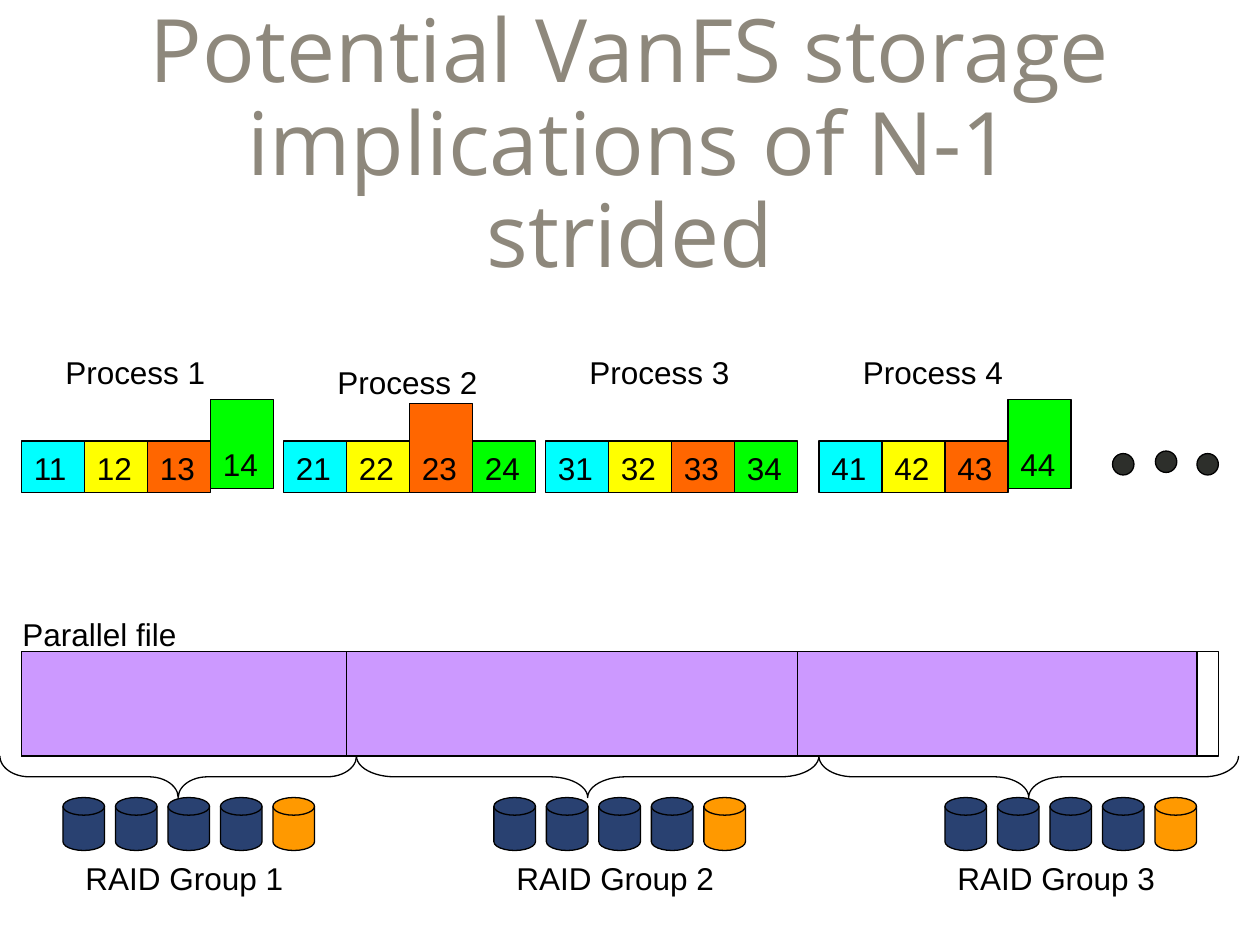
import pptx
import pptx.dml.color
import pptx.enum.shapes
import pptx.enum.text
import pptx.util

Inches, Pt = pptx.util.Inches, pptx.util.Pt
SHAPE = pptx.enum.shapes.MSO_SHAPE
ANCHOR = pptx.enum.text.MSO_ANCHOR

THEME = {
    "title_font": "Open Sans", "title_size": 50, "title": "8E887C",
    "font": "Arial", "size": 18, "text": "000000",
    "line": "000000", "line_width": 0.75,
    "blocks": ["00FFFF", "FFFF00", "FF6600", "00FF00"],
    "file": "CC99FF", "data": "294171", "parity": "FF9900", "dot": "2D2F2B",
}

TITLE = "Potential VanFS storage implications of N-1 strided"
# name, label left, label top, first block left, {tall block number: (top, height)}
PROCESSES = [
    ("Process 1", 0.42, 2.75, 0.17, {4: (3.17, 0.71)}),
    ("Process 2", 2.58, 2.83, 2.25, {3: (3.2, 0.71)}),
    ("Process 3", 4.58, 2.75, 4.33, {}),
    ("Process 4", 6.75, 2.75, 6.5, {4: (3.17, 0.71)}),
]
BLOCK_TOP, BLOCK_W, BLOCK_H = 3.5, 0.5, 0.41
DOTS = [(8.83, 3.6), (9.17, 3.58), (9.5, 3.6)]
DOT_SIZE = 0.17

FILE_LABEL = "Parallel file"
FILE_LEFT, FILE_TOP, FILE_W, FILE_H = 0.17, 5.17, 9.5, 0.83
FILE_EDGES = [0.17, 2.75, 6.33, 9.5]

# name, label left, first disk left
RAID_GROUPS = [
    ("RAID Group 1", 0.58, 0.5),
    ("RAID Group 2", 4, 3.92),
    ("RAID Group 3", 7.5, 7.5),
]
BRACE_EDGES = [0, 2.83, 6.5, 9.83]
BRACE_TOP, BRACE_DEPTH = 6, 0.33
DISKS = [THEME["data"]] * 4 + [THEME["parity"]]
DISK_TOP, DISK_W, DISK_H, DISK_STEP = 6.33, 0.33, 0.42, 5 / 12
LABEL_H, RAID_LABEL_TOP = 0.4, 6.77


def rgb(name):
    return pptx.dml.color.RGBColor.from_string(name)


def style_run(p, font, size, color):
    f = p.runs[0].font
    f.name, f.size, f.color.rgb = font, Pt(size), rgb(color)


def write(sp, text, anchor):
    tf = sp.text_frame
    tf.text = text
    tf.word_wrap = True
    tf.vertical_anchor = anchor
    p = tf.paragraphs[0]
    p.alignment = pptx.enum.text.PP_ALIGN.LEFT
    style_run(p, THEME["font"], THEME["size"], THEME["text"])


def add_label(s, text, left, top, width):
    sp = s.shapes.add_textbox(*map(Inches, (left, top, width, LABEL_H)))
    write(sp, text, ANCHOR.TOP)


def add_outlined(s, kind, left, top, width, height, fill=None):
    sp = s.shapes.add_shape(kind, *map(Inches, (left, top, width, height)))
    sp.shadow.inherit = False
    sp.line.color.rgb = rgb(THEME["line"])
    sp.line.width = Pt(THEME["line_width"])
    if fill:
        sp.fill.solid()
        sp.fill.fore_color.rgb = rgb(fill)
    else:
        sp.fill.background()
    return sp


def add_brace(s, left, right):
    """Downward brace: a left brace turned about its centre."""
    span = right - left
    sp = add_outlined(s, SHAPE.LEFT_BRACE, (left + right - BRACE_DEPTH) / 2,
                      BRACE_TOP + (BRACE_DEPTH - span) / 2, BRACE_DEPTH, span)
    sp.rotation = 270
    sp.adjustments[0] = span / 4
    sp.adjustments[1] = 0.5


def add_title(s):
    sp = s.shapes.title
    sp.left, sp.top, sp.width, sp.height = map(Inches, (0.75, 0.42, 8.5, 1.5))
    tf = sp.text_frame
    tf.text = TITLE
    tf.word_wrap = True
    tf.auto_size = pptx.enum.text.MSO_AUTO_SIZE.NONE
    tf.vertical_anchor = ANCHOR.MIDDLE
    p = tf.paragraphs[0]
    p.alignment = pptx.enum.text.PP_ALIGN.CENTER
    p.line_spacing = 0.88
    style_run(p, THEME["title_font"], THEME["title_size"], THEME["title"])


def add_processes(s):
    for number, (name, label_left, label_top, left, tall) in enumerate(PROCESSES, 1):
        for i, color in enumerate(THEME["blocks"], 1):
            top, height = tall.get(i, (BLOCK_TOP, BLOCK_H))
            sp = add_outlined(s, SHAPE.RECTANGLE, left + (i - 1) * BLOCK_W, top,
                              BLOCK_W, height, color)
            write(sp, f"{number}{i}", ANCHOR.BOTTOM)
        add_label(s, name, label_left, label_top, 1.5)
    for left, top in DOTS:
        add_outlined(s, SHAPE.OVAL, left, top, DOT_SIZE, DOT_SIZE, THEME["dot"])


def add_file(s):
    for left, right in zip(FILE_EDGES, FILE_EDGES[1:]):
        add_outlined(s, SHAPE.RECTANGLE, left, FILE_TOP, right - left, FILE_H,
                     THEME["file"])
    add_outlined(s, SHAPE.RECTANGLE, FILE_LEFT, FILE_TOP, FILE_W, FILE_H)
    add_label(s, FILE_LABEL, 0.08, 4.83, 1.5)


def add_raid_groups(s):
    braces = zip(BRACE_EDGES, BRACE_EDGES[1:])
    for (name, label_left, left), (start, end) in zip(RAID_GROUPS, braces):
        add_brace(s, start, end)
        for i, color in enumerate(DISKS):
            add_outlined(s, SHAPE.FLOWCHART_MAGNETIC_DISK, left + i * DISK_STEP,
                         DISK_TOP, DISK_W, DISK_H, color)
        add_label(s, name, label_left, RAID_LABEL_TOP, 1.83)


def main():
    prs = pptx.Presentation()
    prs.slide_width, prs.slide_height = Inches(10), Inches(7.5)
    s = prs.slides.add_slide(prs.slide_layouts[5])
    add_title(s)
    add_file(s)
    add_processes(s)
    add_raid_groups(s)
    prs.save("out.pptx")


if __name__ == "__main__":
    main()
